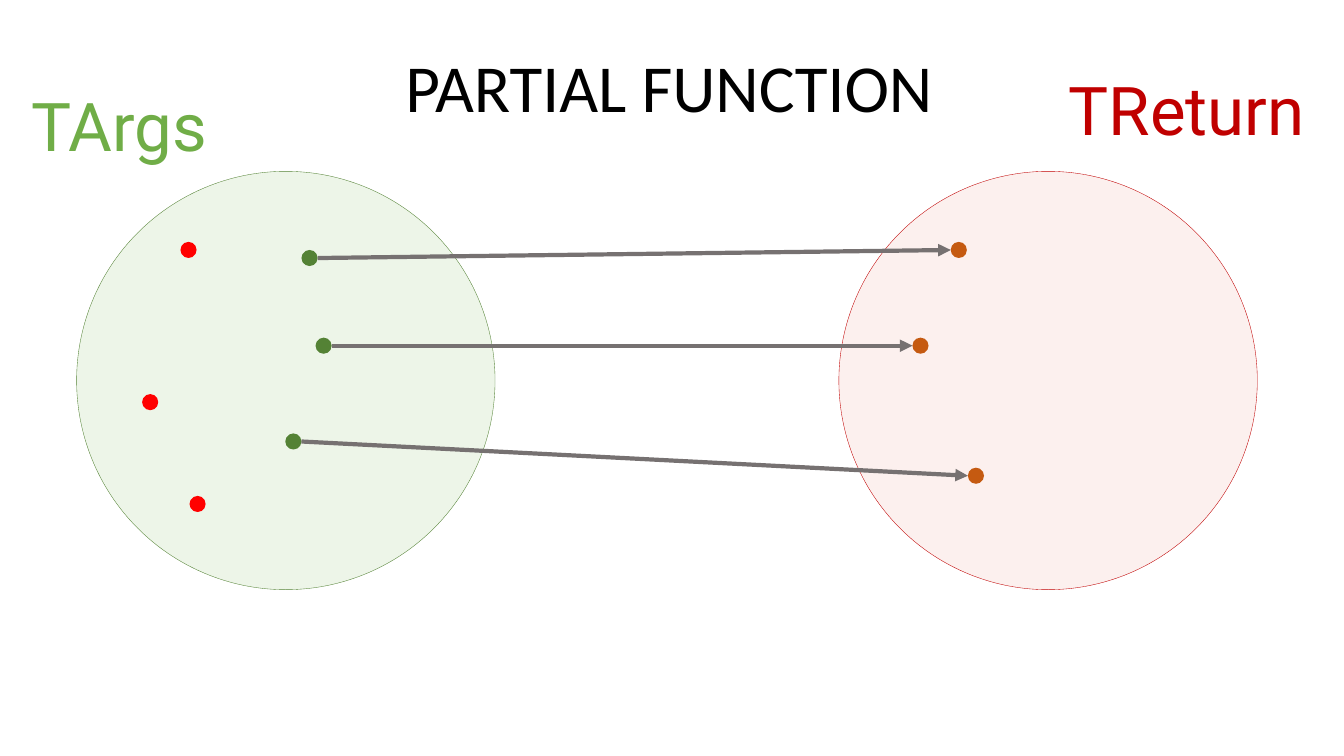
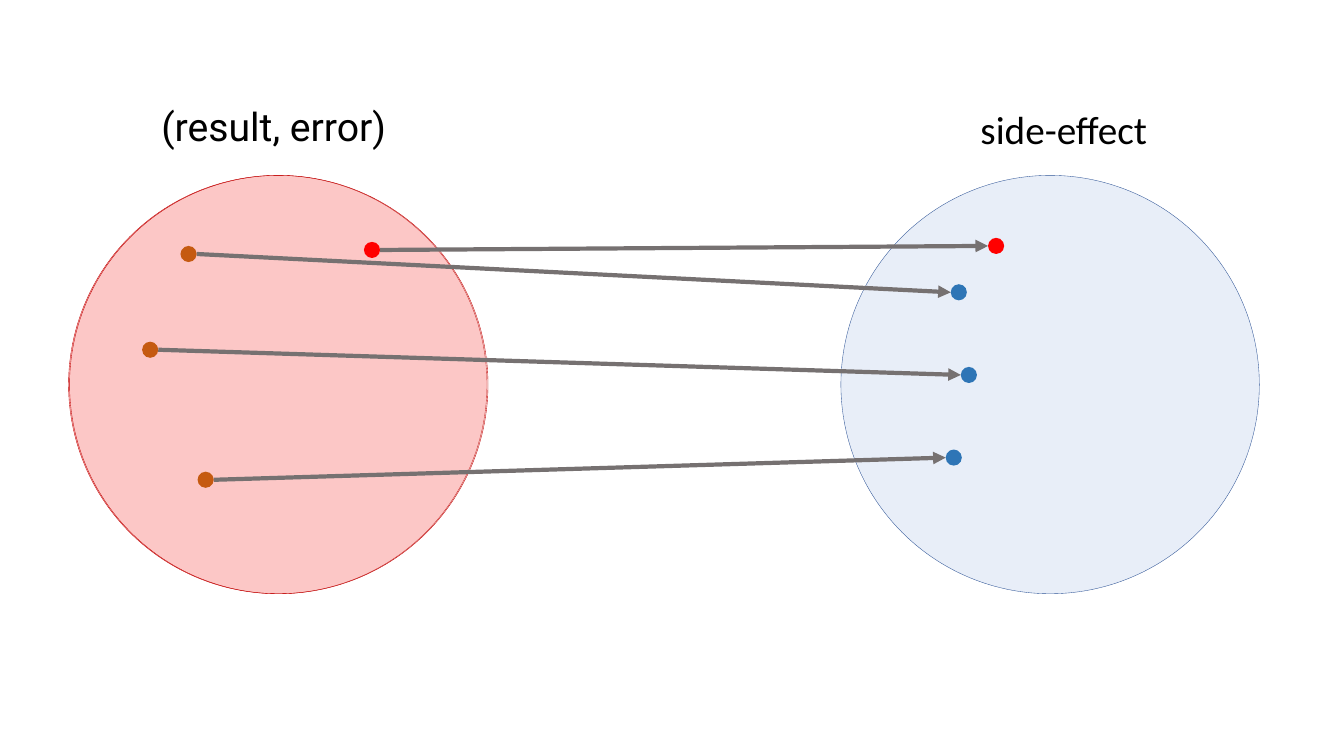
from dataclasses import dataclass
from typing import Any, Sequence

import lxml.etree
import pptx
import pptx.dml.color
import pptx.enum.shapes
import pptx.enum.text
import pptx.oxml.ns
import pptx.util

Inches = pptx.util.Inches
Pt = pptx.util.Pt
qn = pptx.oxml.ns.qn
Align = pptx.enum.text.PP_ALIGN


@dataclass(frozen=True)
class Theme:
    black: str = "000000"
    red: str = "FF0000"
    dark_red: str = "C00000"
    rose: str = "F0B4AE"
    green: str = "70AD47"
    dark_green: str = "548235"
    light_green: str = "A9D18E"
    orange: str = "C55A11"
    blue: str = "2E75B6"
    dark_blue: str = "2F5597"
    light_blue: str = "8FAADC"
    gray: str = "767171"
    body_font: str = "Calibri"
    label_font: str = "Roboto"
    large: float = 48
    medium: float = 28
    outline: float = 0.25
    arrow: float = 3
    set_opacity: int = 20
    set_size: float = 4.15
    dot_size: float = 0.16


THEME = Theme()


@dataclass(frozen=True)
class SetCircle:
    left: float
    top: float
    fill: str
    outline: str


@dataclass(frozen=True)
class Dot:
    left: float
    top: float
    color: str


@dataclass(frozen=True)
class Mapping:
    source: Dot
    target: Dot


@dataclass(frozen=True)
class Label:
    text: str
    left: float
    top: float
    width: float
    height: float
    size: float
    font: str
    color: str
    align: Any = Align.LEFT
    wrap: bool = False


def rgb(color: str) -> pptx.dml.color.RGBColor:
    return pptx.dml.color.RGBColor.from_string(color)


def apply(target: Any, values: dict[str, Any]) -> None:
    for name, value in values.items():
        setattr(target, name, value)


def add_ellipse(slide: Any, left: float, top: float, size: float, color: str) -> Any:
    ellipse = slide.shapes.add_shape(
        pptx.enum.shapes.MSO_SHAPE.OVAL,
        Inches(left), Inches(top), Inches(size), Inches(size),
    )
    ellipse.shadow.inherit = False
    ellipse.fill.solid()
    ellipse.fill.fore_color.rgb = rgb(color)
    ellipse.line.fill.background()
    return ellipse


def draw_set(slide: Any, circle: SetCircle) -> None:
    ellipse = add_ellipse(slide, circle.left, circle.top, THEME.set_size, circle.fill)
    ellipse.line.color.rgb = rgb(circle.outline)
    ellipse.line.width = Pt(THEME.outline)
    fill_color = ellipse.element.spPr.find(qn("a:solidFill")).find(qn("a:srgbClr"))
    lxml.etree.SubElement(fill_color, qn("a:alpha"), val=str(THEME.set_opacity * 1000))


def draw_dot(slide: Any, dot: Dot) -> None:
    add_ellipse(slide, dot.left, dot.top, THEME.dot_size, dot.color)


def draw_mapping(slide: Any, mapping: Mapping) -> None:
    source, target = mapping.source, mapping.target
    radius = THEME.dot_size / 2
    arrow = slide.shapes.add_connector(
        pptx.enum.shapes.MSO_CONNECTOR.STRAIGHT,
        Inches(source.left + THEME.dot_size), Inches(source.top + radius),
        Inches(target.left), Inches(target.top + radius),
    )
    arrow.line.color.rgb = rgb(THEME.gray)
    arrow.line.width = Pt(THEME.arrow)
    properties = arrow.element.spPr
    lxml.etree.SubElement(properties.find(qn("a:ln")), qn("a:tailEnd"), type="triangle")
    lxml.etree.SubElement(properties, qn("a:effectLst"))
    draw_dot(slide, source)
    draw_dot(slide, target)


def write_label(box: Any, label: Label) -> None:
    apply(box, {
        "left": Inches(label.left),
        "top": Inches(label.top),
        "width": Inches(label.width),
        "height": Inches(label.height),
    })
    frame = box.text_frame
    frame.text = label.text
    apply(frame, {
        "word_wrap": label.wrap,
        "auto_size": pptx.enum.text.MSO_AUTO_SIZE.SHAPE_TO_FIT_TEXT,
        "vertical_anchor": pptx.enum.text.MSO_ANCHOR.TOP,
    })
    paragraph = frame.paragraphs[0]
    paragraph.alignment = label.align
    font = paragraph.runs[0].font
    apply(font, {"name": label.font, "size": Pt(label.size)})
    font.color.rgb = rgb(label.color)


def draw_diagram(
    slide: Any,
    circles: Sequence[SetCircle],
    mappings: Sequence[Mapping],
    labels: Sequence[Label],
    unmapped: Sequence[Dot] = (),
) -> None:
    for circle in circles:
        draw_set(slide, circle)
    for mapping in mappings:
        draw_mapping(slide, mapping)
    for dot in unmapped:
        draw_dot(slide, dot)
    for label in labels:
        box = slide.shapes.add_textbox(0, 0, 0, 0)
        write_label(box, label)


def build_partial_function(deck: Any) -> None:
    slide = deck.slides.add_slide(deck.slide_layouts.get_by_name("Title Only"))
    write_label(slide.shapes.title, Label(
        "PARTIAL FUNCTION", 3.92, 0.4, 5.49, 0.91,
        THEME.large, THEME.body_font, THEME.black,
    ))
    draw_diagram(
        slide,
        circles=[
            SetCircle(8.32, 1.7, THEME.rose, THEME.dark_red),
            SetCircle(0.76, 1.7, THEME.light_green, THEME.dark_green),
        ],
        mappings=[
            Mapping(Dot(left, top, THEME.dark_green), Dot(end_left, end_top, THEME.orange))
            for left, top, end_left, end_top in [
                (2.99, 2.48, 9.43, 2.4),
                (3.13, 3.35, 9.05, 3.35),
                (2.83, 4.3, 9.6, 4.64),
            ]
        ],
        labels=[
            Label("TReturn", 10.5, 0.63, 2.73, 0.91,
                  THEME.large, THEME.label_font, THEME.dark_red, wrap=True),
            Label("TArgs", 0.21, 0.79, 2.73, 0.91,
                  THEME.large, THEME.label_font, THEME.green, wrap=True),
        ],
        unmapped=[
            Dot(left, top, THEME.red)
            for left, top in [(1.79, 2.4), (1.41, 3.91), (1.88, 4.92)]
        ],
    )


def build_side_effect(deck: Any) -> None:
    slide = deck.slides.add_slide(deck.slide_layouts.get_by_name("Blank"))
    results = [
        Mapping(Dot(left, top, THEME.orange), Dot(end_left, end_top, THEME.blue))
        for left, top, end_left, end_top in [
            (1.79, 2.44, 9.43, 2.82),
            (1.41, 3.39, 9.53, 3.64),
            (1.96, 4.68, 9.38, 4.46),
        ]
    ]
    error = Mapping(Dot(3.61, 2.4, THEME.red), Dot(9.8, 2.36, THEME.red))
    draw_diagram(
        slide,
        circles=[
            SetCircle(0.68, 1.74, THEME.red, THEME.dark_red),
            SetCircle(0.69, 1.74, THEME.rose, THEME.dark_red),
            SetCircle(8.34, 1.74, THEME.light_blue, THEME.dark_blue),
        ],
        mappings=[*results, error],
        labels=[
            Label("(result, error)", 1.41, 0.97, 2.61, 0.57,
                  THEME.medium, THEME.label_font, THEME.black, Align.CENTER),
            Label("side-effect", 9.61, 1, 1.88, 0.57,
                  THEME.medium, THEME.body_font, THEME.black, Align.CENTER),
        ],
    )


def main() -> None:
    deck = pptx.Presentation()
    apply(deck, {"slide_width": Inches(13.33), "slide_height": Inches(7.5)})
    build_partial_function(deck)
    build_side_effect(deck)
    deck.save("out.pptx")


if __name__ == "__main__":
    main()
